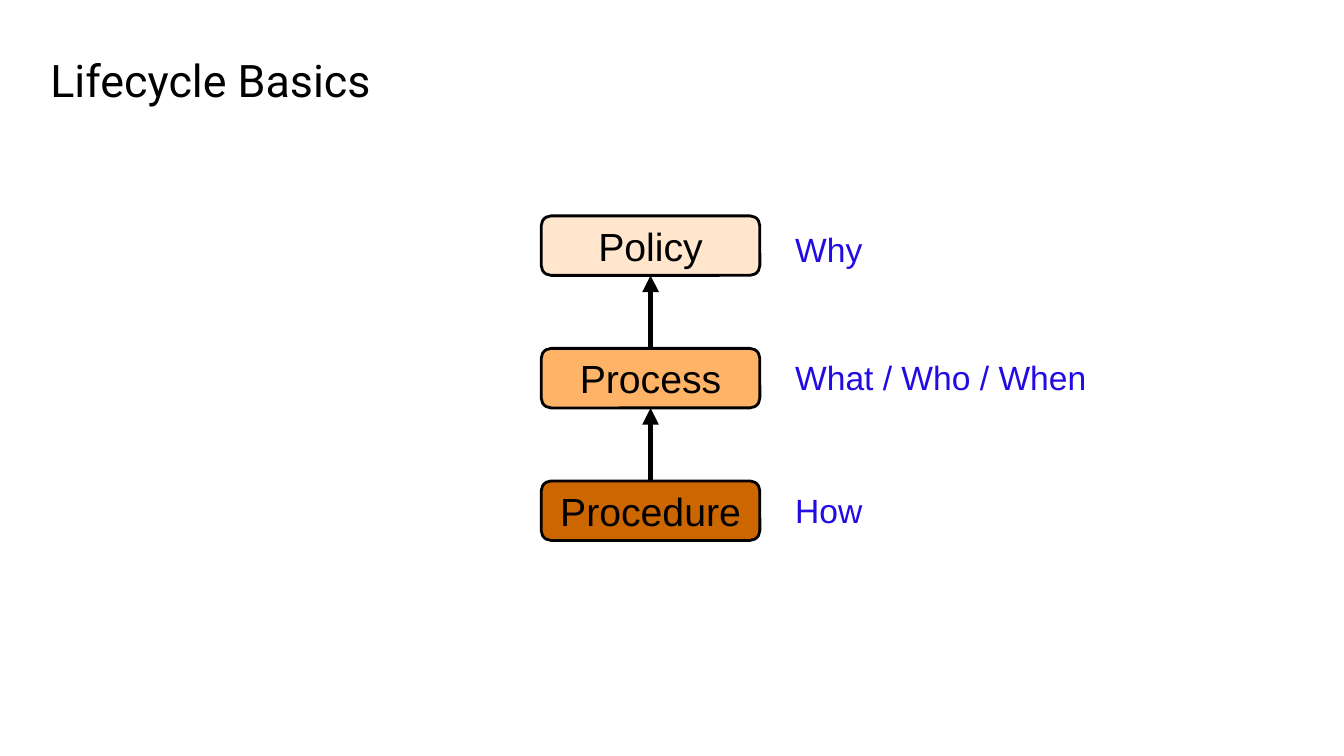
from lxml.etree import SubElement
from pptx import Presentation
from pptx.dml.color import RGBColor
from pptx.enum.shapes import MSO_CONNECTOR as CONNECTOR, MSO_SHAPE as SHAPE
from pptx.enum.text import MSO_ANCHOR as ANCHOR, MSO_AUTO_SIZE as AUTO_SIZE, PP_ALIGN as ALIGN
from pptx.oxml.ns import qn
from pptx.util import Cm, Pt

BLACK = "000000"
TITLE_FONT = {"name": "Roboto", "size": Pt(32)}
LEVEL_FONT = {"name": "Arial", "size": Pt(28)}
QUESTION_FONT = {"name": "Arial", "size": Pt(24)}

# Level, fill, question answered, question's width and drop below the level's top (cm)
LEVELS = [
    ("Policy", "FFE6CC", "Why", 2.24, 0.2),
    ("Process", "FFB366", "What / Who / When", 7.92, 0.1),
    ("Procedure", "CC6600", "How", 2.24, 0.1),
]
LEVEL_WIDTH, LEVEL_HEIGHT = 5.51, 1.5
QUESTION_OFFSET, QUESTION_HEIGHT = 6.15, 1.27


def rgb(value):
    return RGBColor.from_string(value)


def write(holder, text, font, color, frame_format, align=ALIGN.LEFT):
    frame = holder.text_frame
    for name, value in frame_format.items():
        setattr(frame, name, value)
    paragraph = frame.paragraphs[0]
    paragraph.text = text
    paragraph.alignment = align
    for name, value in font.items():
        setattr(paragraph.font, name, value)
    paragraph.font.color.rgb = rgb(color)


def add_title(slide, left, top, width, height):
    title = slide.shapes.add_textbox(Cm(left), Cm(top), Cm(width), Cm(height))
    margins = {f"margin_{side}": 0 for side in ("left", "top", "right", "bottom")}
    write(title, "Lifecycle Basics", TITLE_FONT, BLACK,
          {"word_wrap": True, "vertical_anchor": ANCHOR.MIDDLE, **margins})


def add_level(shapes, name, fill, left, top):
    level = shapes.add_shape(SHAPE.ROUNDED_RECTANGLE, Cm(left), Cm(top),
                             Cm(LEVEL_WIDTH), Cm(LEVEL_HEIGHT))
    level.shadow.inherit = False
    level.fill.solid()
    level.fill.fore_color.rgb = rgb(fill)
    level.line.color.rgb = rgb(BLACK)
    level.line.width = Pt(2)
    write(level, name, LEVEL_FONT, BLACK,
          {"word_wrap": True, "vertical_anchor": ANCHOR.MIDDLE}, ALIGN.CENTER)
    return level


def add_question(shapes, text, left, top, width):
    question = shapes.add_textbox(Cm(left), Cm(top), Cm(width), Cm(QUESTION_HEIGHT))
    write(question, text, QUESTION_FONT, "230BE3",
          {"word_wrap": False, "auto_size": AUTO_SIZE.SHAPE_TO_FIT_TEXT})


def add_arrow(shapes, lower, upper):
    middle = lower.left + lower.width // 2
    arrow = shapes.add_connector(CONNECTOR.STRAIGHT, middle, lower.top,
                                 middle, upper.top + upper.height)
    arrow.begin_connect(lower, 0)
    arrow.end_connect(upper, 2)
    arrow.line.color.rgb = rgb(BLACK)
    arrow.line.width = Pt(4)
    SubElement(arrow.line._get_or_add_ln(), qn("a:tailEnd"), type="triangle")
    SubElement(arrow._element.spPr, qn("a:effectLst"))


def add_hierarchy(slide, left, top, height):
    shapes = slide.shapes.add_group_shape().shapes
    pitch = (height - LEVEL_HEIGHT) / (len(LEVELS) - 1)
    boxes = []
    for index, (name, fill, question, width, drop) in enumerate(LEVELS):
        level_top = top + index * pitch
        boxes.append(add_level(shapes, name, fill, left, level_top))
        add_question(shapes, question, left + QUESTION_OFFSET, level_top + drop, width)
    # Each level points up to the one above it
    for upper, lower in zip(boxes, boxes[1:]):
        add_arrow(shapes, lower, upper)


def main():
    deck = Presentation()
    deck.slide_width, deck.slide_height = Cm(33.87), Cm(19.05)
    slide = deck.slides.add_slide(deck.slide_layouts[6])
    add_title(slide, 1.27, 1.27, 24.77, 1.45)
    add_hierarchy(slide, 13.64, 5.44, 8.18)
    deck.save("out.pptx")


if __name__ == "__main__":
    main()
